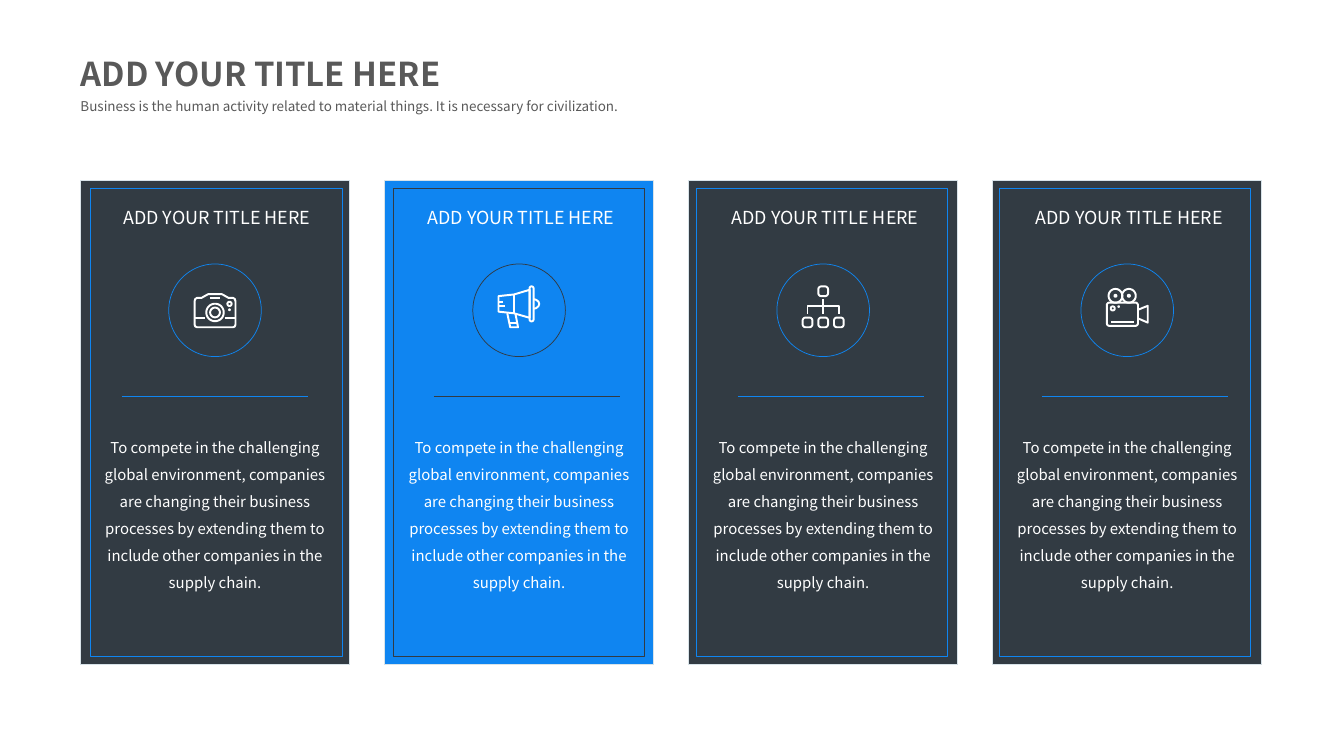
import math

from lxml import etree
from pptx import Presentation
from pptx.dml.color import RGBColor
from pptx.enum import shapes, text
from pptx.oxml.ns import qn
from pptx.util import Pt

FONT = "Noto Sans CJK SC"
WHITE, GREY, DARK, BLUE, PALE = "FFFFFF", "595959", "323B43", "0F85F1", "D8E3E9"
STROKE = 2.6
ARC_STEPS = 40
CARD_TITLE = "ADD YOUR TITLE HERE"
CARD_BODY = (
    "To compete in the challenging global environment, companies are changing "
    "their business processes by extending them to include other companies in "
    "the supply chain."
)

# Icon parts in points from the ring centre:
# rounds are (x, y, half width, half height, corner radius),
# paths are point lists, closed when the last point repeats the first.
camera = {
    "rounds": [(0, 2.9, 11.7, 11.7, 11.7), (0, 2.9, 6.5, 6.5, 6.5),
               (19.4, -8.6, 2.8, 2.8, 2.8), (19.4, -0.7, 0.5, 0.5, 0.5)],
    "paths": [
        [(-27.4, -12), (-26.5, -15.2), (-24, -16.6), (-18, -16.6), (-13, -19.5),
         (-9, -21.7), (9, -21.7), (13, -19.5), (18, -16.6), (24, -16.6),
         (26.5, -15.2), (27.4, -12), (27.4, 19), (26.5, 21.7), (24, 22.7),
         (-24, 22.7), (-26.5, 21.7), (-27.4, 19), (-27.4, -12)],
        [(-27.4, 9.7), (-13, 9.7)],
        [(13, 9.7), (27.4, 9.7)],
        [(-7, -16.6), (7, -16.6)],
    ],
}
megaphone = {
    "rounds": [(16.7, -8.6, 2.7, 23.4, 2.7)],
    "paths": [
        [(-6.8, -21.2), (14, -27.4), (14, 10), (-6.8, 4), (-27.6, 1.8),
         (-27.6, -19), (-6.8, -21.2)],
        [(-6.8, -21.2), (-6.8, 4)],
        [(-27.6, -11.2), (-21.5, -11.2)],
        [(-27.6, -6.1), (-19.4, -6.1)],
        [(-15.8, 4), (-11.9, 22.7), (-1.4, 22.7), (-5, 4)],
        [(-13, 17.3), (-2.9, 17.3)],
        [(19.4, -15), (23, -14), (26, -11.5), (27, -8.6), (26, -5.5),
         (23, -3), (19.4, -2)],
    ],
}
organisation = {
    "rounds": [(x, y, 6.5, 6.5, 4) for x, y in [(0, -25.5), (-21, 16.2), (0, 16.2), (21, 16.2)]],
    "paths": [
        [(0, -14.5), (0, 4.5)],
        [(-21, 4.5), (-21, -6.1), (21, -6.1), (21, 4.5)],
    ],
}
film_camera = {
    "rounds": [(-15.8, -19.4, 9.2, 9.2, 9.2), (2.2, -19.4, 9.2, 9.2, 9.2),
               (-15.8, -19.4, 1.3, 1.3, 1.3), (2.2, -19.4, 1.3, 1.3, 1.3),
               (-19.4, -2.5, 2.7, 2.7, 2.7), (-11.5, -5, 0.4, 0.4, 0.4),
               (-6.5, 5.25, 20.9, 15.65, 3.8)],
    "paths": [
        [(14.4, -0.7), (27.5, -6), (27.5, 16.5), (14.4, 10.8)],
        [(-22, 15.8), (9.4, 15.8)],
    ],
}


def paint(shape, line, width, fill=None):
    """Set line and fill from hex colours and remove the shadow."""
    shape.line.color.rgb = RGBColor.from_string(line)
    shape.line.width = Pt(width)
    if shape.shape_type == shapes.MSO_SHAPE_TYPE.LINE:
        etree.SubElement(shape._element.spPr, qn("a:effectLst"))
        return
    shape.shadow.inherit = False
    if fill:
        shape.fill.solid()
        shape.fill.fore_color.rgb = RGBColor.from_string(fill)
    else:
        shape.fill.background()


def write(box, words, size, color, spacing, align, bold=False):
    frame = box.text_frame
    frame.word_wrap = True
    frame.auto_size = text.MSO_AUTO_SIZE.NONE
    frame.vertical_anchor = text.MSO_ANCHOR.TOP
    frame.text = words
    para = frame.paragraphs[0]
    para.alignment = align
    para.line_spacing = spacing
    para.space_before = Pt(0)
    font = para.runs[0].font
    font.name, font.size, font.bold = FONT, Pt(size), bold
    font.color.rgb = RGBColor.from_string(color)


deck = Presentation()
deck.slide_width, deck.slide_height = Pt(1800), Pt(1008)
page = deck.slides.add_slide(deck.slide_layouts[1])

# Heading
LEFT, CENTER = text.PP_ALIGN.LEFT, text.PP_ALIGN.CENTER
title, subtitle = page.placeholders
title.left, title.top, title.width, title.height = Pt(100.6), Pt(41.6), Pt(683), Pt(78)
write(title, "ADD YOUR TITLE HERE", 44, GREY, 1.5, LEFT, bold=True)
subtitle.left, subtitle.top, subtitle.width, subtitle.height = Pt(100.6), Pt(116.6), Pt(778), Pt(40)
write(subtitle, "Business is the human activity related to material things. "
      "It is necessary for civilization.", 18, GREY, 1.5, LEFT)
properties = subtitle.text_frame.paragraphs[0]._p.get_or_add_pPr()
properties.set("marL", "0")
properties.set("indent", "0")
etree.SubElement(properties, qn("a:buNone"))

# Cards
RECTANGLE = shapes.MSO_SHAPE.RECTANGLE
OVAL = shapes.MSO_SHAPE.OVAL
STRAIGHT = shapes.MSO_CONNECTOR.STRAIGHT
angles = [math.tau * (step + 0.5) / ARC_STEPS for step in range(ARC_STEPS)]
cards = [(camera, DARK, BLUE), (megaphone, BLUE, DARK),
         (organisation, DARK, BLUE), (film_camera, DARK, BLUE)]
for index, (icon, fill, accent) in enumerate(cards):
    left = 108 + 407.25 * index
    card = page.shapes.add_group_shape().shapes
    panel = card.add_shape(RECTANGLE, Pt(left), Pt(242), Pt(360), Pt(648))
    paint(panel, PALE, 1, fill)

    # Every icon is one outline with several contours
    contours = list(icon["paths"])
    for x, y, half_width, half_height, radius in icon["rounds"]:
        curve = [(x + math.copysign(half_width - radius, math.cos(a)) + radius * math.cos(a),
                  y + math.copysign(half_height - radius, math.sin(a)) + radius * math.sin(a))
                 for a in angles]
        contours.append(curve + curve[:1])
    center_x, center_y = left + 180, 415.4
    pen = None
    for contour in contours:
        points = [(Pt(center_x + x), Pt(center_y + y)) for x, y in contour]
        if pen is None:
            pen = card.build_freeform(*points[0])
        else:
            pen.move_to(*points[0])
        pen.add_line_segments(points[1:], close=points[0] == points[-1])
    paint(pen.convert_to_shape(), WHITE, STROKE)

    rule_left = left + (66 if index else 55.4)
    rule = card.add_connector(STRAIGHT, Pt(rule_left), Pt(530), Pt(rule_left + 249), Pt(530))
    paint(rule, accent, 0.5)

    heading = card.add_textbox(Pt(left), Pt(242), Pt(360), Pt(90))
    write(heading, CARD_TITLE, 24, WHITE, 1.3, CENTER)
    frame = heading.text_frame
    frame.vertical_anchor = text.MSO_ANCHOR.MIDDLE
    frame.margin_left = Pt(5)
    frame.margin_right = frame.margin_top = frame.margin_bottom = 0

    ring = card.add_shape(OVAL, Pt(center_x - 62), Pt(center_y - 62), Pt(124), Pt(124))
    paint(ring, accent, 1)

    body = card.add_textbox(Pt(left + 14.7), Pt(571.7), Pt(330.5), Pt(225))
    write(body, CARD_BODY, 20, WHITE, 1.5, CENTER)

    border = card.add_shape(RECTANGLE, Pt(121 + 405.6 * index), Pt(252.7), Pt(337), Pt(626.4))
    paint(border, accent, 1)

deck.save("out.pptx")
